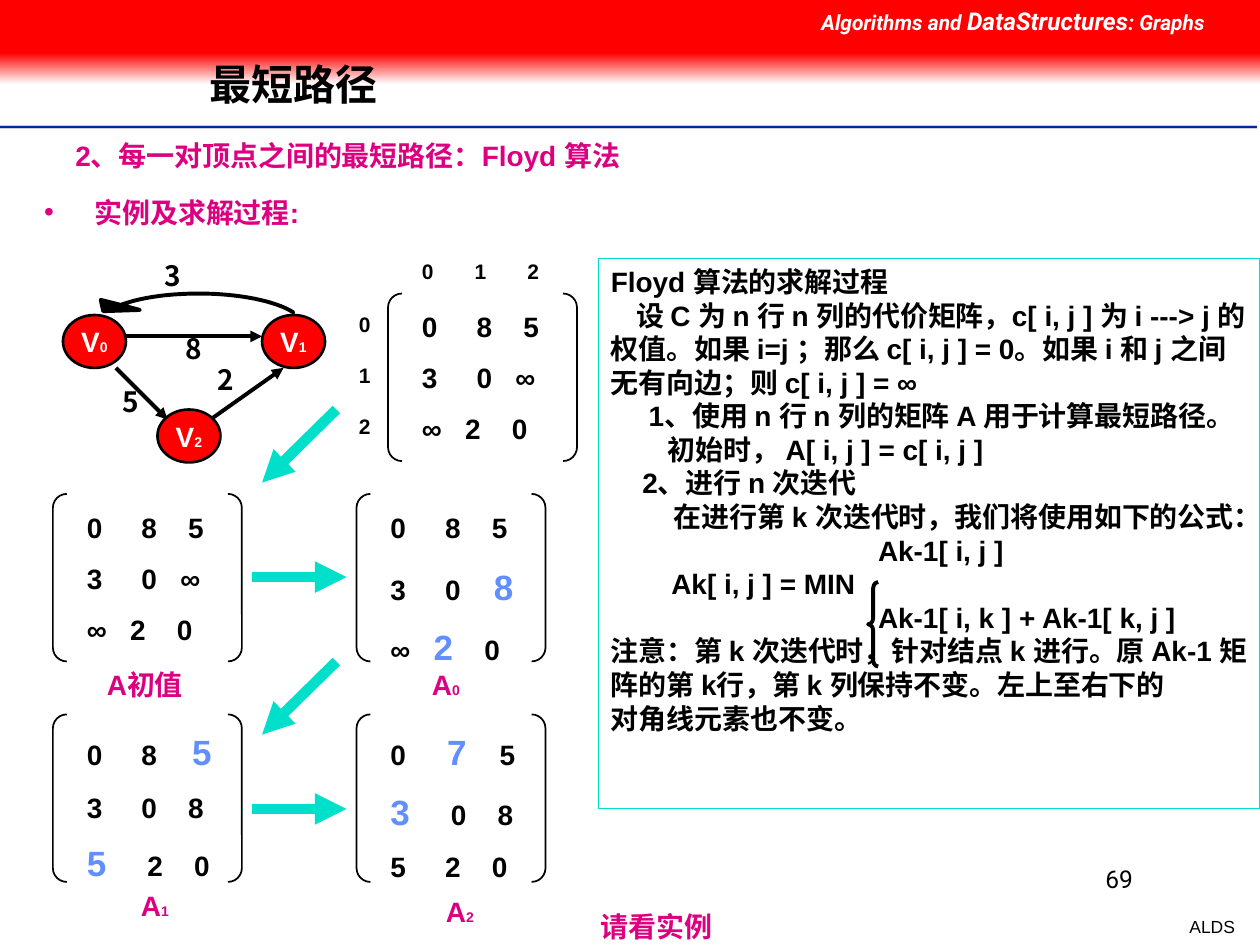
from pptx import Presentation
from pptx.dml.color import RGBColor
from pptx.enum.shapes import MSO_CONNECTOR, MSO_SHAPE
from pptx.enum.text import MSO_ANCHOR, MSO_AUTO_SIZE, PP_ALIGN
from pptx.oxml.ns import qn
from pptx.util import Inches, Pt
from lxml import etree

LEFT, CENTER, RIGHT = PP_ALIGN.LEFT, PP_ALIGN.CENTER, PP_ALIGN.RIGHT
TOP, MIDDLE = MSO_ANCHOR.TOP, MSO_ANCHOR.MIDDLE
NO_FIT = MSO_AUTO_SIZE.NONE
STRAIGHT = MSO_CONNECTOR.STRAIGHT
RECTANGLE, OVAL = MSO_SHAPE.RECTANGLE, MSO_SHAPE.OVAL
BRACKETS, BRACE = MSO_SHAPE.DOUBLE_BRACKET, MSO_SHAPE.LEFT_BRACE

COLORS = {"black": "000000", "white": "FFFFFF", "red": "FF0000", "pink": "DC0081",
          "teal": "00DFCA", "blue": "618FFD", "navy": "00279F", "gray": "CECECE"}
DIGIT_FONT = "Noto Sans CJK SC"
SPACE_WIDTH = 0.28  # width of a space relative to the font size


def rgb(name):
    return RGBColor.from_string(COLORS[name])


def curve(start, first, second, end, steps=16):
    """Points along a cubic Bezier curve."""
    return [tuple((1 - t) ** 3 * a + 3 * (1 - t) ** 2 * t * b + 3 * (1 - t) * t ** 2 * c + t ** 3 * d
                  for a, b, c, d in zip(start, first, second, end))
            for t in (step / steps for step in range(steps + 1))]


class SlideBuilder:
    font = "Arial"
    size = 16

    def __init__(self, slide):
        self.slide = slide
        self.shapes = slide.shapes

    def frame(self, shape, anchor=TOP, wrap=True):
        frame = shape.text_frame
        frame.auto_size = NO_FIT
        frame.word_wrap = wrap
        frame.vertical_anchor = anchor
        return frame

    def text_frame(self, left, top, width, height, wrap=True):
        box = self.shapes.add_textbox(Inches(left), Inches(top), Inches(width), Inches(height))
        return self.frame(box, wrap=wrap)

    def para(self, frame, runs, color="black", size=None, font=None, bold=True, italic=False,
             align=LEFT, before=0, indent=0, margin=0, bullet=None):
        """Fill the next paragraph; runs is a string or (text, size, color) tuples."""
        first = not frame.paragraphs[0].runs
        para = frame.paragraphs[0] if first else frame.add_paragraph()
        props = para._p.get_or_add_pPr()
        props.set("marL", str(Inches(margin)))
        props.set("indent", str(Inches(indent)))
        if bullet:
            etree.SubElement(props, qn("a:buChar"), char=bullet)
        para.alignment = align
        para.space_before = Pt(0 if first else before)
        para.font.name = font or self.font
        para.font.size = Pt(size or self.size)
        para.font.bold = bold
        para.font.italic = italic
        para.font.color.rgb = rgb(color)
        if isinstance(runs, str):
            para.text = runs
            return para
        for text, run_size, run_color in runs:
            span = para.add_run()
            span.text = text
            if run_size:
                span.font.size = Pt(run_size)
            if run_color:
                span.font.color.rgb = rgb(run_color)
        return para

    def text(self, left, top, width, height, runs, wrap=True, **style):
        self.para(self.text_frame(left, top, width, height, wrap), runs, **style)

    def placeholder(self, index, left, top, width, height, runs, anchor=TOP, **style):
        box = self.slide.placeholders[index]
        box.left, box.top, box.width, box.height = map(Inches, (left, top, width, height))
        box.element.getparent().append(box.element)  # in front of the header band
        return self.para(self.frame(box, anchor), runs, **style)

    def shape(self, kind, left, top, width, height, fill=None, line=None, weight=1.0):
        shape = self.shapes.add_shape(kind, Inches(left), Inches(top), Inches(width), Inches(height))
        return self.paint(shape, fill, line, weight)

    def paint(self, shape, fill, line, weight):
        shape.shadow.inherit = False
        if fill:
            shape.fill.solid()
            shape.fill.fore_color.rgb = rgb(fill)
        else:
            shape.fill.background()
        if line:
            shape.line.color.rgb = rgb(line)
            shape.line.width = Pt(weight)
        else:
            shape.line.fill.background()
        return shape

    def line(self, start, end, color="black", weight=2.25, arrow=True):
        link = self.shapes.add_connector(STRAIGHT, *map(Inches, start + end))
        link.line.color.rgb = rgb(color)
        link.line.width = Pt(weight)
        if arrow:
            etree.SubElement(link.line._get_or_add_ln(), qn("a:tailEnd"), type="triangle")
        etree.SubElement(link.element.spPr, qn("a:effectLst"))

    def outline(self, points, fill, line, weight):
        points = [(Inches(x), Inches(y)) for x, y in points]
        builder = self.shapes.build_freeform(*points[0])
        builder.add_line_segments(points[1:], close=True)
        self.paint(builder.convert_to_shape(), fill, line, weight)

    def vertex(self, left, top, number):
        node = self.shape(OVAL, left, top, 0.5, 0.42, "red", "black", 1.5)
        self.para(self.frame(node, MIDDLE, wrap=False), [("V", None, None), (number, 8, None)],
                  color="white", align=CENTER)

    def row(self, frame, cells, gaps, before=0, size=16):
        """One line of cells, each gap a stretched space; a star marks a changed value."""
        runs = []
        for column, cell in enumerate(cells.split()):
            if column:
                runs.append((" ", None, None))
            changed = cell.startswith("*")
            runs.append((cell.lstrip("*"), 20 if changed else None, "blue" if changed else None))
        para = self.para(frame, runs, before=before, size=size)
        for span, gap in zip(para.runs[1::2], gaps):
            stretch = (gap - 1) * SPACE_WIDTH * size
            span._r.get_or_add_rPr().set("spc", str(round(stretch * 100)))

    def matrix(self, left, top, rows):
        self.shape(BRACKETS, left, top, 1.5, 1.33, line="black").adjustments[0] = 0.083
        frame = self.text_frame(left + 0.17, top + 0.08, 1.25, 1.3)
        for cells, gaps, before in rows:
            self.row(frame, cells, gaps, before)


# Rows hold cells, gaps in space widths, and the space before in points
EVEN = (5, 4)
COST_ROWS = [("0 8 5", EVEN, 10), ("3 0 ∞", (5, 3), 10), ("∞ 2 0", (3, 4), 10)]
MATRICES = [
    (3.08, 2.33, COST_ROWS),
    (0.42, 3.92, COST_ROWS),
    (2.83, 3.92, [("0 8 5", EVEN, 10), ("3 0 *8", (5, 4.25), 12.5), ("∞ *2 0", (3, 4), 10)]),
    (2.83, 5.67, [("0 *7 5", (5.25, 4.25), 10), ("*3 0 8", (5.25, 4), 10), ("5 2 0", EVEN, 10)]),
    (0.42, 5.67, [("0 8 *5", (5, 4.5), 10), ("3 0 8", EVEN, 10), ("*5 2 0", (5.25, 4), 10)]),
]
# Text and first-line indent of each explanation paragraph
EXPLANATION = [
    ("Floyd 算法的求解过程", 0),
    ("设 C 为 n 行 n 列的代价矩阵，c[ i, j ] 为 i ---> j 的权值。如果 i=j ；那么 c[ i, j ] = 0。"
     "如果 i 和 j 之间无有向边；则 c[ i, j ] = ∞", 0.2),
    ("1、使用 n 行 n 列的矩阵 A 用于计算最短路径。", 0.3),
    ("初始时， A[ i, j ] = c[ i, j ]", 0.45),
    ("2、进行 n 次迭代", 0.25),
    ("在进行第 k 次迭代时，我们将使用如下的公式：", 0.5),
    ("Ak-1[ i, j ]", 2.12),
    ("Ak[ i, j ] = MIN", 0.48),
    ("Ak-1[ i, k ] + Ak-1[ k, j ]", 2.12),
    ("注意：第 k 次迭代时，针对结点 k 进行。原 Ak-1 矩阵的第 k行，第 k 列保持不变。左上至右下的\v"
     "对角线元素也不变。", 0),
]


def main():
    deck = Presentation()
    deck.slide_width, deck.slide_height = Inches(10), Inches(7.5)
    page = SlideBuilder(deck.slides.add_slide(deck.slide_layouts[1]))

    # Header rule, band and footer
    for y, color, weight in ((1.01, "gray", 2), (1.01, "navy", 1), (1.03, "white", 1)):
        page.line((0, y), (9.98, y), color, weight, arrow=False)
    page.text(9.34, 7.22, 0.56, 0.27, "ALDS", wrap=False, size=10, bold=False, align=RIGHT)
    page.text(7.17, 6.81, 1.92, 0.5, "69", size=14, font="Roboto", bold=False, align=RIGHT)
    fade = page.shape(RECTANGLE, 0, 0.42, 10, 0.25, "red").fill
    fade.gradient()
    fade.gradient_angle = 270
    for stop, color in zip(fade.gradient_stops, ("red", "white")):
        stop.color.rgb = rgb(color)
    page.shape(RECTANGLE, 0, 0, 10, 0.42, "red")
    page.text(6.42, 0, 3.58, 0.34,
              [("Algorithms and ", None, None), ("DataStructures", 14, None), (": Graphs", None, None)],
              color="white", size=12, font="Roboto", italic=True)

    # Title and headings
    title = page.placeholder(0, 1.56, 0.32, 7.55, 0.74, "最短路径", MIDDLE, size=24)
    title.line_spacing = 0.9
    page.text(0, 1.05, 10, 0.37, "2、每一对顶点之间的最短路径：Floyd 算法", color="pink", margin=0.5)
    page.placeholder(1, 0, 1.5, 5.25, 0.37, "实例及求解过程:", color="pink",
                     margin=0.65, indent=-0.4, bullet="•")

    # Directed graph
    page.line((1.67, 3.33), (2.25, 2.92))
    page.line((0.92, 2.92), (1.33, 3.33))
    page.line((1, 2.67), (2.08, 2.67))
    arc = (curve((0.96, 2.42), (1.12, 2.36), (1.34, 2.33), (1.58, 2.33))
           + curve((1.58, 2.33), (1.9, 2.33), (2.19, 2.39), (2.33, 2.48))[1:])
    arrowhead = [(0.8, 2.38), (0.82, 2.47), (1.11, 2.46)]
    page.outline(arc + arc[-2::-1] + arrowhead, "black", "black", 2.25)
    for left, top, number in ((2.08, 2.5, "1"), (1.25, 3.25, "2"), (0.5, 2.5, "0")):
        page.vertex(left, top, number)
    for left, top, cost in ((0.75, 3, "5"), (1.08, 2, "3"), (1.25, 2.58, "8"), (1.5, 2.83, "2")):
        page.text(left, top, 0.58, 0.37, cost, font=DIGIT_FONT, align=CENTER)

    # Explanation
    panel_frame = page.frame(page.shape(RECTANGLE, 4.75, 2.05, 5.25, 4.37, "white", "teal", 0.75))
    for text, indent in EXPLANATION:
        page.para(panel_frame, text, indent=indent)
    page.shape(BRACE, 6.89, 4.62, 0.08, 0.67, line="black", weight=2.25).adjustments[0] = 0.6

    # Matrices with their labels
    for left, top, rows in MATRICES:
        page.matrix(left, top, rows)
    page.row(page.text_frame(3.25, 2, 1.17, 0.3), "0 1 2", (7, 7), size=12)
    row_frame = page.text_frame(2.75, 2.42, 0.29, 1.1, wrap=False)
    for label in "012":
        page.para(row_frame, label, size=12, before=15)
    for left, top, number in ((3.33, 5.25, "0"), (3.44, 7.05, "2"), (1.02, 7, "1")):
        page.text(left, top, 0.56, 0.37, [("A", None, None), (number, 8, None)], color="pink")
    page.text(0.75, 5.25, 0.98, 0.37, "A初值", color="pink")

    # Iteration arrows
    for top in (3.25, 5.25):
        page.line((2.67, top), (2.08, top + 0.58), "teal", 6)
    for y in (4.58, 6.42):
        page.line((2, y), (2.75, y), "teal", 6)
    page.text(4.67, 7.17, 1.83, 0.37, "请看实例", color="pink")

    deck.save("out.pptx")


if __name__ == "__main__":
    main()
